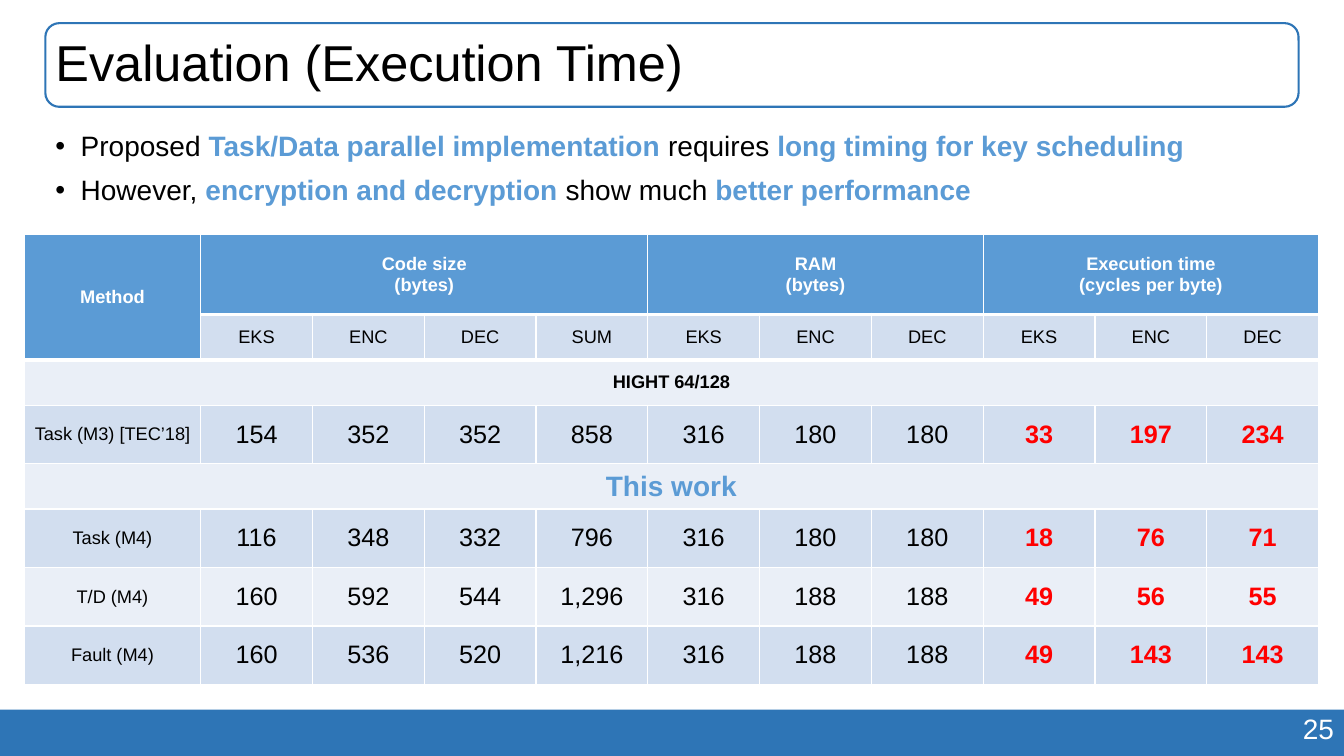
from pptx import Presentation
from pptx.dml.color import RGBColor
from pptx.enum.shapes import MSO_SHAPE
from pptx.enum.text import MSO_ANCHOR, MSO_AUTO_SIZE, PP_ALIGN
from pptx.oxml.ns import qn
from pptx.util import Inches, Pt
from lxml.etree import SubElement

BLUE, BAND, RED = "5B9BD5", "2E75B6", "FF0000"
DARK, PALE, WHITE, BLACK = "D2DEEF", "EAEFF7", "FFFFFF", "000000"

POINTS = [
    ["Proposed ", "Task/Data parallel implementation ",
     "requires ", "long timing for key scheduling"],
    ["However, ", "encryption and decryption ",
     "show much ", "better performance"],
]
# Header groups: title, unit, subcolumns
GROUPS = [
    ("Code size", "(bytes)", ["EKS", "ENC", "DEC", "SUM"]),
    ("RAM", "(bytes)", ["EKS", "ENC", "DEC"]),
    ("Execution time", "(cycles per byte)", ["EKS", "ENC", "DEC"]),
]
# Table row number: method and its values
RESULTS = {
    3: ["Task (M3) [TEC’18]", "154", "352", "352", "858",
        "316", "180", "180", "33", "197", "234"],
    5: ["Task (M4)", "116", "348", "332", "796",
        "316", "180", "180", "18", "76", "71"],
    6: ["T/D (M4)", "160", "592", "544", "1,296",
        "316", "188", "188", "49", "56", "55"],
    7: ["Fault (M4)", "160", "536", "520", "1,216",
        "316", "188", "188", "49", "143", "143"],
}
HEIGHTS = [0.79, 0.45, 0.45, 0.58, 0.45, 0.58, 0.58, 0.58]
FIRST_TIME = 8


def color(code):
    return RGBColor.from_string(code)


def write(frame, lines, size=13, ink=BLACK, bold=False, align=PP_ALIGN.LEFT,
          lead=None, gap=0, accent=None, bullet=False):
    """Each line is a list of runs; every second run takes the accent."""
    for i, runs in enumerate(lines):
        para = frame.paragraphs[0] if i == 0 else frame.add_paragraph()
        if bullet:
            props = para._p.get_or_add_pPr()
            props.set("marL", str(Inches(0.25)))
            props.set("indent", str(Inches(-0.25)))
            SubElement(props, qn("a:buFont")).set("typeface", "Arial")
            SubElement(props, qn("a:buChar")).set("char", "•")
        para.alignment = align
        para.line_spacing = lead
        para.space_before = Pt(gap if i else 0)
        for j, words in enumerate(runs):
            strong = accent and j % 2
            run = para.add_run()
            run.text = words
            run.font.name = "Arial"
            run.font.size = Pt(size)
            run.font.bold = bool(bold or strong)
            run.font.color.rgb = color(accent if strong else ink)


def place(shape, box):
    shape.left, shape.top, shape.width, shape.height = map(Inches, box)


def draw(slide, kind, box, fill=None, line=None):
    shape = slide.shapes.add_shape(kind, *map(Inches, box))
    shape.shadow.inherit = False
    if fill:
        shape.fill.solid()
        shape.fill.fore_color.rgb = color(fill)
    else:
        shape.fill.background()
    if line:
        shape.line.color.rgb = color(line)
        shape.line.width = Pt(1.5)
    else:
        shape.line.fill.background()
    return shape


def add_foot(slide, box):
    left, top, width, height = box
    draw(slide, MSO_SHAPE.RECTANGLE, box, fill=BAND)
    label = slide.shapes.add_textbox(
        Inches(left + width - 3.9), Inches(top - 0.03), Inches(3.9), Inches(0.44))
    label.text_frame.word_wrap = True
    write(label.text_frame, [["25"]], size=20, ink=WHITE, align=PP_ALIGN.RIGHT)


def add_title(slide, box):
    draw(slide, MSO_SHAPE.ROUNDED_RECTANGLE, box, line=BAND)
    title = slide.shapes.title
    place(title, box)
    title.text_frame.vertical_anchor = MSO_ANCHOR.MIDDLE
    title.text_frame.auto_size = MSO_AUTO_SIZE.NONE
    write(title.text_frame, [["Evaluation (Execution Time)"]], size=36, lead=0.9)


def add_points(slide, box):
    body = slide.placeholders[1]
    place(body, box)
    body.text_frame.auto_size = MSO_AUTO_SIZE.NONE
    write(body.text_frame, POINTS, size=20, lead=0.9, gap=10,
          accent=BLUE, bullet=True)


def border(cell, bottom):
    props = cell._tc.get_or_add_tcPr()
    for i, side in enumerate(["lnL", "lnR", "lnT", "lnB"]):
        line = props.makeelement(qn("a:" + side), {})
        line.set("w", str(Pt(bottom if side == "lnB" else 1)))
        paint = SubElement(line, qn("a:solidFill"))
        SubElement(paint, qn("a:srgbClr")).set("val", WHITE)
        props.insert(i, line)


def fill_cell(cell, lines, **style):
    cell.vertical_anchor = MSO_ANCHOR.MIDDLE
    cell.margin_left = cell.margin_right = Inches(0.07)
    cell.margin_top = cell.margin_bottom = Inches(0.04)
    write(cell.text_frame, [[line] for line in lines],
          align=PP_ALIGN.CENTER, **style)


def add_head(table):
    style = dict(ink=WHITE, bold=True)
    table.cell(0, 0).merge(table.cell(1, 0))
    fill_cell(table.cell(0, 0), ["Method"], **style)
    col = 1
    for name, unit, subs in GROUPS:
        table.cell(0, col).merge(table.cell(0, col + len(subs) - 1))
        fill_cell(table.cell(0, col), [name, unit], **style)
        for sub in subs:
            fill_cell(table.cell(1, col), [sub])
            col += 1


def add_table(slide, box):
    count = len(RESULTS[3])
    table = slide.shapes.add_table(len(HEIGHTS), count, *map(Inches, box)).table
    first = 1.75
    for i, col in enumerate(table.columns):
        col.width = Inches((box[2] - first) / (count - 1) if i else first)
    for row, height in zip(table.rows, HEIGHTS):
        row.height = Inches(height)

    # Fills and borders
    for r in range(len(HEIGHTS)):
        for c in range(count):
            cell = table.cell(r, c)
            head = r == 0 or (r == 1 and c == 0)
            cell.fill.solid()
            cell.fill.fore_color.rgb = color(BLUE if head else DARK if r % 2 else PALE)
            if r == 7:
                cell.fill.fore_color.rgb = color(DARK)
            border(cell, 3 if head else 1)

    # Header, section rows and results
    add_head(table)
    for r, words, style in [(2, "HIGHT 64/128", {}),
                            (4, "This work", dict(size=20, ink=BLUE))]:
        table.cell(r, 0).merge(table.cell(r, count - 1))
        fill_cell(table.cell(r, 0), [words], bold=True, **style)
    for r, values in RESULTS.items():
        for c, value in enumerate(values):
            time = c >= FIRST_TIME
            fill_cell(table.cell(r, c), [value], size=18 if c else 13,
                      ink=RED if time else BLACK, bold=time)


def main():
    prs = Presentation()
    prs.slide_width, prs.slide_height = Inches(13.33), Inches(7.5)
    slide = prs.slides.add_slide(prs.slide_layouts[1])
    add_foot(slide, (0, 7.04, 13.33, 0.46))
    add_title(slide, (0.45, 0.23, 12.43, 0.83))
    add_points(slide, (0.45, 1.26, 12.43, 5.53))
    # Bring the placeholders in front of the band and frame
    for holder in list(slide.placeholders):
        slide.shapes.element.append(holder.element)
    add_table(slide, (0.24, 2.33, 12.84, 4.46))
    prs.save("out.pptx")


if __name__ == "__main__":
    main()
